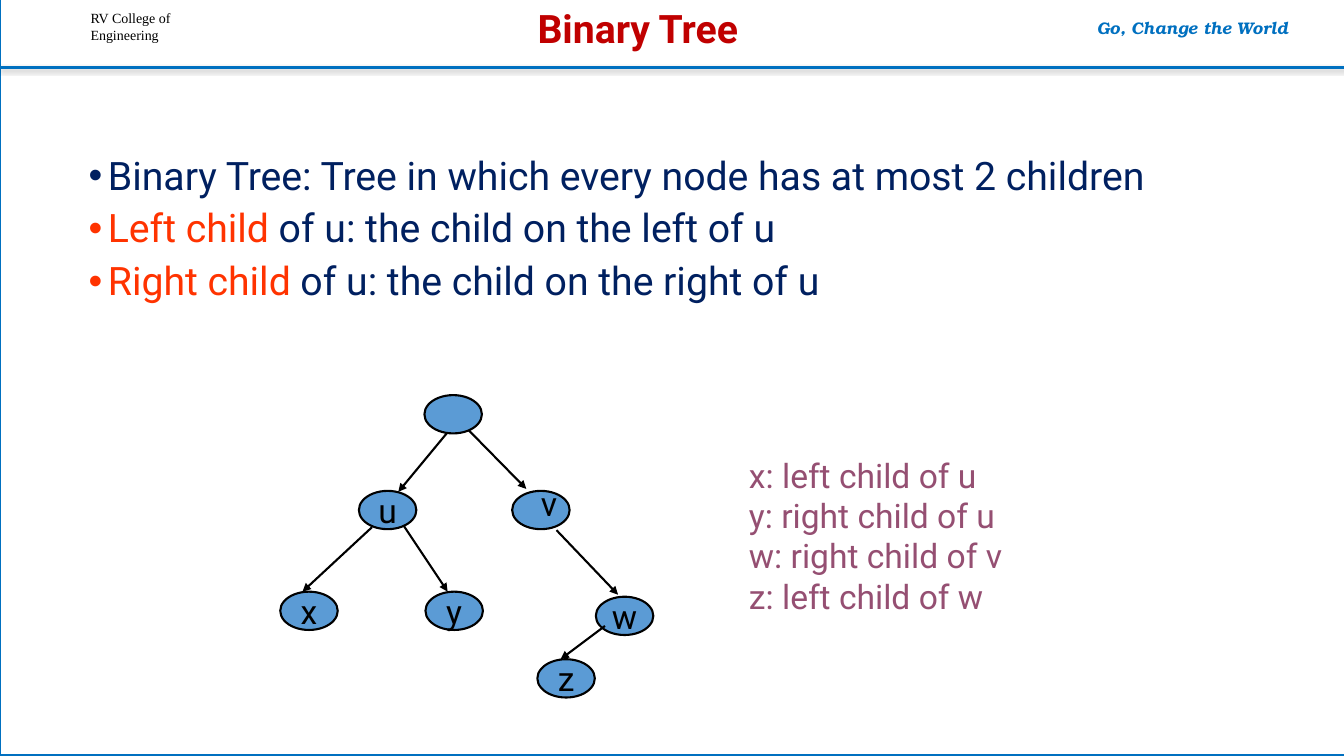
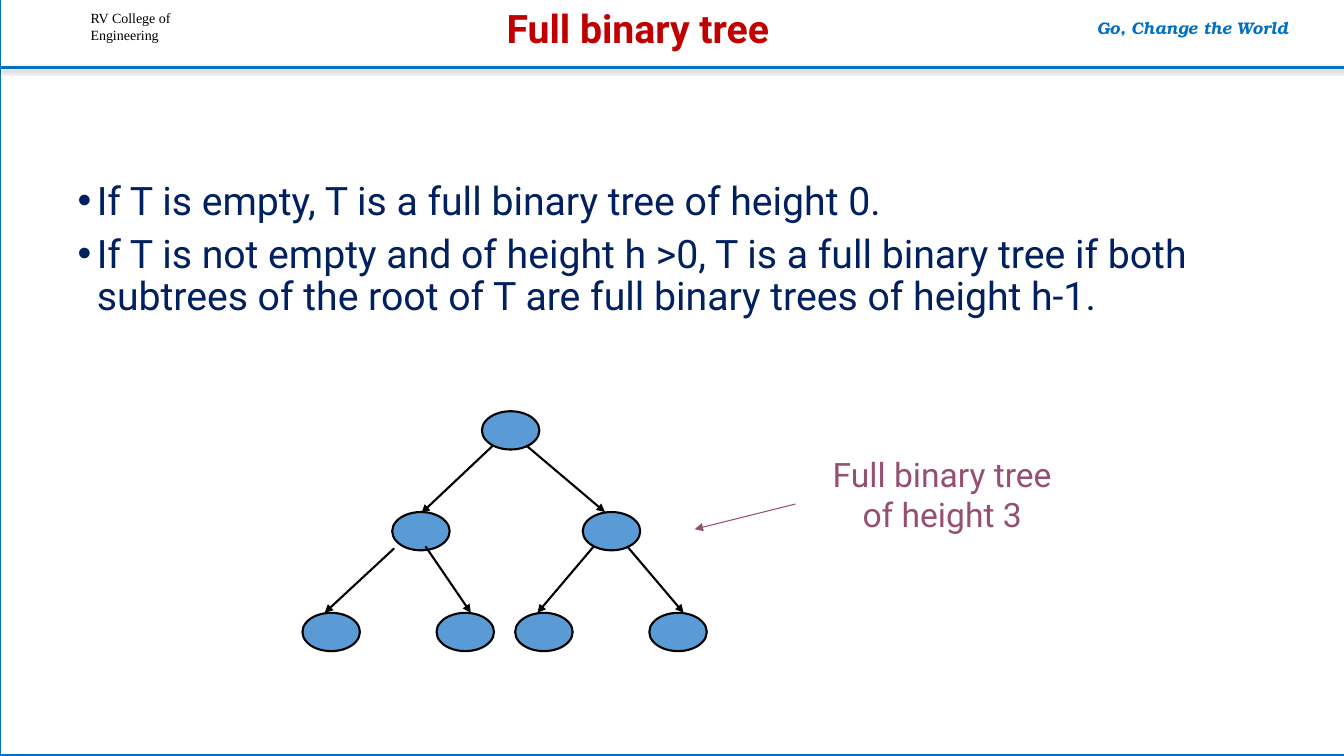
from lxml import etree
from pptx import Presentation
from pptx import util as u
from pptx.dml.color import RGBColor
from pptx.enum import shapes, text
from pptx.oxml.ns import qn

PX = 9144  # EMU in one px, 100 px to the inch
BLUE, NAVY, RED, ORANGE = "0070C0", "002060", "C00000", "FF3300"
PLUM, NODE_BLUE, BLACK, WHITE = "954F72", "5B9BD5", "000000", "FFFFFF"
NODE_SIZE = (57, 38)
INDENT = 19
rgb = RGBColor.from_string
CENTER, LEFT = text.PP_ALIGN.CENTER, text.PP_ALIGN.LEFT


def write(frame, paragraphs, size, font="Roboto", align=LEFT, bold=False, italic=False):
    """Fill a text frame; each paragraph is a list of (words, colour) runs."""
    frame.word_wrap = True
    frame.auto_size = text.MSO_AUTO_SIZE.NONE
    for number, runs in enumerate(paragraphs):
        para = frame.add_paragraph() if number else frame.paragraphs[0]
        para.alignment = align
        for words, color in runs:
            span = para.add_run()
            span.text = words
            span.font.name, span.font.size = font, u.Pt(size)
            span.font.bold, span.font.italic = bold, italic
            span.font.color.rgb = rgb(color)


def draw_line(page, ends, color, weight, arrow=True):
    """Draw a connector and return its empty effect list."""
    line = page.shapes.add_connector(
        shapes.MSO_CONNECTOR.STRAIGHT, *[n * PX for n in ends])
    line.line.color.rgb = rgb(color)
    line.line.width = u.Pt(weight)
    properties = line.element.spPr
    if arrow:
        etree.SubElement(properties.find(qn("a:ln")), qn("a:tailEnd"), type="triangle")
    return etree.SubElement(properties, qn("a:effectLst"))


slides = [
    {
        "title": "Binary Tree",
        "body_box": (78, 150, 1200, 252),
        "bullets": [
            [("Binary Tree: Tree in which every node has at most 2 children", NAVY)],
            [("Left child", ORANGE), (" of u: the child on the left of u", NAVY)],
            [("Right child", ORANGE), (" of u: the child on the right of u", NAVY)],
        ],
        "nodes": [(421, 392, ""), (356, 487, "u"), (508, 487, ""), (278, 587, "x"),
                  (422, 587, "y"), (533, 654, "z"), (591, 592, "w")],
        "edges": [(443, 430, 395, 488), (465, 427, 522, 485), (369, 523, 300, 587),
                  (400, 521, 444, 587), (600, 621, 556, 654), (552, 526, 613, 590)],
        "labels": [
            ((526, 474, 37, 51), CENTER, BLACK, ["v"]),
            ((733, 446, 282, 172), LEFT, PLUM,
             ["x: left child of u", "y: right child of u",
              "w: right child of v", "z: left child of w"]),
        ],
        "pointers": [],
    },
    {
        "title": "Full binary tree",
        "body_box": (67, 175, 1200, 289),
        "bullets": [
            [("If T is empty, T is a full binary tree of height 0.", NAVY)],
            [("If T is not empty and of height h >0, T is a full binary tree if both "
              "subtrees of the root of T are full binary trees of height h-1.", NAVY)],
        ],
        "nodes": [(478, 408, ""), (389, 508, ""), (578, 508, ""), (300, 608, ""),
                  (433, 608, ""), (511, 608, ""), (644, 608, "")],
        "edges": [(489, 442, 418, 509), (522, 442, 600, 508), (391, 544, 322, 608),
                  (422, 542, 467, 608), (589, 542, 533, 608), (622, 542, 678, 608)],
        "labels": [((813, 445, 243, 91), CENTER, PLUM,
                    ["Full binary tree", "of height 3"])],
        "pointers": [(789, 500, 689, 525)],
    },
]

deck = Presentation()
deck.slide_width, deck.slide_height = 1333 * PX, 750 * PX
layout = deck.slide_layouts[1]
title = layout.placeholders[0]
title.left, title.top, title.width, title.height = [n * PX for n in (184, 10, 897, 41)]
pages = [deck.slides.add_slide(layout) for _ in slides]

# Shared frame: drawn on the first page, then moved to the layout
first = pages[0]
placeholder_count = len(first.shapes)
border = first.shapes.add_shape(
    shapes.MSO_SHAPE.RECTANGLE, *[n * PX for n in (0, -1, 1338, 750)])
border.shadow.inherit = False
border.fill.solid()
border.fill.fore_color.rgb = rgb(WHITE)
border.line.color.rgb = rgb(BLUE)
border.line.width = u.Pt(2)

college = first.shapes.add_textbox(*[n * PX for n in (80, 5, 147, 44)])
write(college.text_frame, [[("RV College of", BLACK)], [("Engineering", BLACK)]],
      10, "Times New Roman")

effects = draw_line(first, (0, 67, 1338, 67), BLUE, 2, arrow=False)
shadow = etree.SubElement(effects, qn("a:outerShdw"), blurRad=str(u.Pt(3.1)),
                          dist=str(u.Pt(1.6)), dir="5400000", rotWithShape="0")
shade = etree.SubElement(shadow, qn("a:srgbClr"), val=BLACK)
etree.SubElement(shade, qn("a:alpha"), val="38000")

motto = first.shapes.add_textbox(*[n * PX for n in (1033, 13, 300, 30)])
write(motto.text_frame, [[("Go, Change the World", BLUE)]], 12, "TeX Gyre Bonum",
      CENTER, bold=True, italic=True)

for number, shape in enumerate(list(first.shapes)[placeholder_count:]):
    shape.element.xpath(".//p:cNvPr")[0].set("id", str(20 + number))
    layout.element.cSld.spTree.insert(2 + number, shape.element)

for page, content in zip(pages, slides):
    heading = page.shapes.title.text_frame
    write(heading, [[(content["title"], RED)]], 28, align=CENTER, bold=True)
    heading.vertical_anchor = text.MSO_ANCHOR.MIDDLE
    heading.paragraphs[0].line_spacing = 0.9

    body = page.placeholders[1]
    body.left, body.top, body.width, body.height = [n * PX for n in content["body_box"]]
    write(body.text_frame, content["bullets"], 28)
    for number, para in enumerate(body.text_frame.paragraphs):
        para.line_spacing = 0.9
        para.space_before = u.Pt(7.5 if number else 0)
        properties = para._p.get_or_add_pPr()
        properties.set("marL", str(INDENT * PX))
        properties.set("indent", str(-INDENT * PX))

    for left, top, name in content["nodes"]:
        node = page.shapes.add_shape(
            shapes.MSO_SHAPE.OVAL, *[n * PX for n in (left, top, *NODE_SIZE)])
        node.shadow.inherit = False
        node.fill.solid()
        node.fill.fore_color.rgb = rgb(NODE_BLUE)
        node.line.color.rgb = rgb(BLACK)
        node.line.width = u.Pt(1.5)
        if name:
            write(node.text_frame, [[(name, BLACK)]], 24, align=CENTER)
            node.text_frame.word_wrap = False
            node.text_frame.vertical_anchor = text.MSO_ANCHOR.MIDDLE

    for ends in content["edges"]:
        draw_line(page, ends, BLACK, 1.5)
    for ends in content["pointers"]:
        draw_line(page, ends, PLUM, 0.75)

    for box, align, color, lines in content["labels"]:
        label = page.shapes.add_textbox(*[n * PX for n in box])
        write(label.text_frame, [[(words, color)] for words in lines], 24, align=align)

deck.save("out.pptx")
